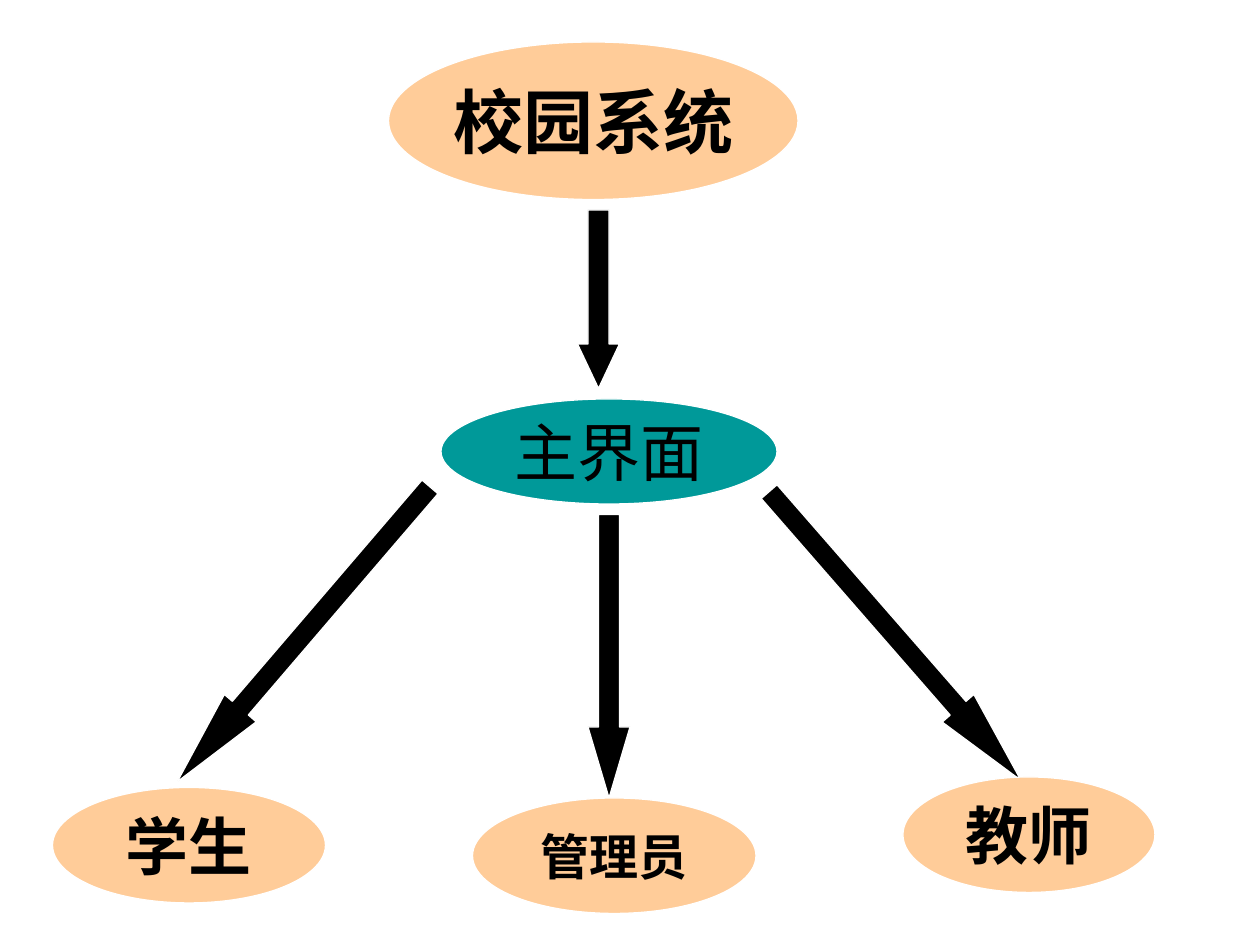
from pptx import Presentation
from pptx.dml.color import RGBColor
from pptx.enum.shapes import MSO_SHAPE as Shape
from pptx.enum.text import MSO_ANCHOR as Anchor, PP_ALIGN as Align
from pptx.util import Pt

PEACH = RGBColor(0xFF, 0xCC, 0x99)
TEAL = RGBColor(0x00, 0x99, 0x99)
BLACK = RGBColor(0x00, 0x00, 0x00)
WHITE = RGBColor(0xFF, 0xFF, 0xFF)
FONT = "DejaVu Sans"
ARROW_THICKNESS = 24

# text, left, top, width, height, fill, font size, bold
NODES = [
    ("校园系统", 222, 24, 234, 90, PEACH, 40, True),
    ("主界面", 252, 228, 192, 60, TEAL, 36, False),
    ("学生", 30, 450, 156, 66, PEACH, 36, True),
    ("管理员", 270, 456, 162, 66, PEACH, 28, True),
    ("教师", 516, 444, 144, 66, PEACH, 36, True),
]

# centre x, centre y, length, rotation, head length relative to thickness
ARROWS = [
    (342, 171, 102, 90, 1.06),
    (173.5, 362.5, 222, 130.6, 2.31),
    (348, 375, 162, 90, 1.69),
    (511.5, 363.5, 219, 48.9, 2.28),
]

deck = Presentation()
deck.slide_width, deck.slide_height = Pt(720), Pt(540)
page = deck.slides.add_slide(deck.slide_layouts[6])


def add_outlined(kind, left, top, width, height, fill):
    """Add a flat filled shape with a thin white outline."""
    shape = page.shapes.add_shape(kind, Pt(left), Pt(top), Pt(width), Pt(height))
    shape.shadow.inherit = False
    shape.fill.solid()
    shape.fill.fore_color.rgb = fill
    shape.line.color.rgb = WHITE
    shape.line.width = Pt(0.75)
    return shape


for center_x, center_y, length, rotation, head in ARROWS:
    arrow = add_outlined(Shape.RIGHT_ARROW, center_x - length / 2,
                         center_y - ARROW_THICKNESS / 2, length, ARROW_THICKNESS, BLACK)
    arrow.rotation = rotation
    arrow.adjustments[0] = 0.5
    arrow.adjustments[1] = head

for text, left, top, width, height, fill, size, bold in NODES:
    node = add_outlined(Shape.OVAL, left, top, width, height, fill)
    frame = node.text_frame
    frame.word_wrap = False
    frame.vertical_anchor = Anchor.MIDDLE
    para = frame.paragraphs[0]
    para.text = text
    para.alignment = Align.CENTER
    para.font.name = FONT
    para.font.size = Pt(size)
    para.font.bold = bold
    para.font.color.rgb = BLACK

deck.save("out.pptx")
